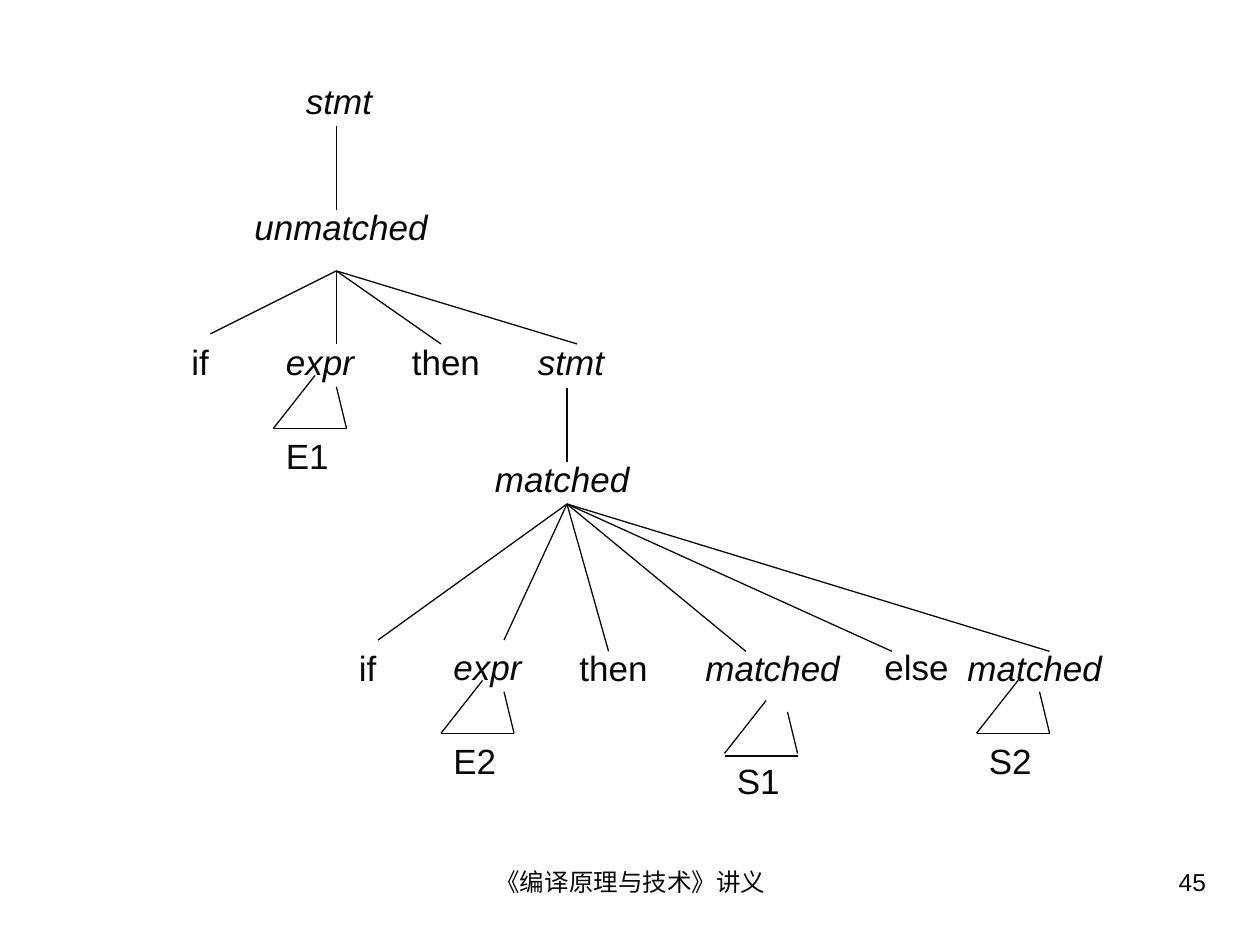
from dataclasses import dataclass

from lxml.etree import SubElement
from pptx import Presentation
from pptx.dml.color import RGBColor
from pptx.enum.shapes import MSO_CONNECTOR
from pptx.enum.text import PP_ALIGN
from pptx.oxml.ns import qn
from pptx.util import Inches, Pt


@dataclass(frozen=True)
class Theme:
    """Colours, font and sizes of the slide."""
    ink: RGBColor = RGBColor(0x08, 0x08, 0x08)
    font: str = "Arial"
    node_size: float = 20
    footer_size: float = 14
    line_width: float = 0.74


THEME = Theme()
NODE_HEIGHT = 0.44

# Text, left, top, width
NONTERMINALS = [
    ("stmt", 2.33, 0.58, 0.92),
    ("unmatched", 1.92, 1.58, 1.92),
    ("expr", 2.17, 2.65, 0.92),
    ("stmt", 4.17, 2.65, 0.92),
    ("matched", 3.83, 3.58, 1.92),
    ("expr", 3.5, 5.07, 0.92),
    ("matched", 5.5, 5.08, 1.33),
    ("matched", 7.58, 5.08, 1.33),
]
TERMINALS = [
    ("if", 1.42, 2.65, 0.92),
    ("then", 3.17, 2.65, 0.92),
    ("if", 2.75, 5.08, 0.92),
    ("then", 4.5, 5.08, 0.92),
    ("else", 6.92, 5.07, 0.92),
]
# Parent point, child points
BRANCHES = [
    ((2.67, 1), [(2.67, 1.67)]),
    ((2.67, 2.15), [(1.67, 2.65), (2.67, 2.73), (3.5, 2.73), (4.58, 2.73)]),
    ((4.5, 3.08), [(4.5, 3.67)]),
    ((4.5, 4), [(3, 5.08), (4, 5.08), (4.83, 5.17), (5.92, 5.17),
                (7.08, 5.17), (8.33, 5.17)]),
]
# Label, left, foot of the sides, gap between the sides and the base
SUBTREES = [
    ("E1", 2.17, 3.4, 0),
    ("E2", 3.5, 5.82, 0),
    ("S1", 5.75, 5.98, 0.02),
    ("S2", 7.75, 5.82, 0),
]


def add_text(page, text, left, top, width, height=NODE_HEIGHT,
             size=THEME.node_size, italic=False, align=PP_ALIGN.LEFT):
    """Add a text box with one run."""
    box = page.shapes.add_textbox(Inches(left), Inches(top),
                                  Inches(width), Inches(height))
    box.text_frame.word_wrap = True
    para = box.text_frame.paragraphs[0]
    para.alignment = align
    span = para.add_run()
    span.text = text
    span.font.name = THEME.font
    span.font.size = Pt(size)
    span.font.italic = italic
    span.font.color.rgb = THEME.ink


def add_line(page, start, end):
    """Add a thin straight line between two points."""
    points = [Inches(value) for value in (*start, *end)]
    line = page.shapes.add_connector(MSO_CONNECTOR.STRAIGHT, *points)
    line.line.color.rgb = THEME.ink
    line.line.width = Pt(THEME.line_width)
    SubElement(line._element.spPr, qn("a:effectLst"))


def add_subtree(page, label, left, foot, gap):
    """Add an open triangle for a collapsed subtree, with its label below."""
    right = left + 0.58
    add_line(page, (left + 0.33, foot - 0.42), (left, foot))
    add_line(page, (left, foot + gap), (right, foot + gap))
    add_line(page, (right, foot), (left + 0.5, foot - 0.33))
    add_text(page, label, left, foot, 0.67)


def add_footer(page):
    """Add the lecture name and the page number."""
    size = THEME.footer_size
    add_text(page, "《编译原理与技术》讲义", 3.42, 6.83, 3.17, 0.52,
             size, align=PP_ALIGN.CENTER)
    add_text(page, "45", 7.17, 6.83, 2.5, 0.52, size, align=PP_ALIGN.RIGHT)


def main():
    """Build the parse tree slide."""
    deck = Presentation()
    deck.slide_width, deck.slide_height = Inches(10), Inches(7.5)
    page = deck.slides.add_slide(deck.slide_layouts[6])
    for node in NONTERMINALS:
        add_text(page, *node, italic=True)
    for node in TERMINALS:
        add_text(page, *node)
    for parent, children in BRANCHES:
        for child in children:
            add_line(page, parent, child)
    for subtree in SUBTREES:
        add_subtree(page, *subtree)
    add_footer(page)
    deck.save("out.pptx")


main()
